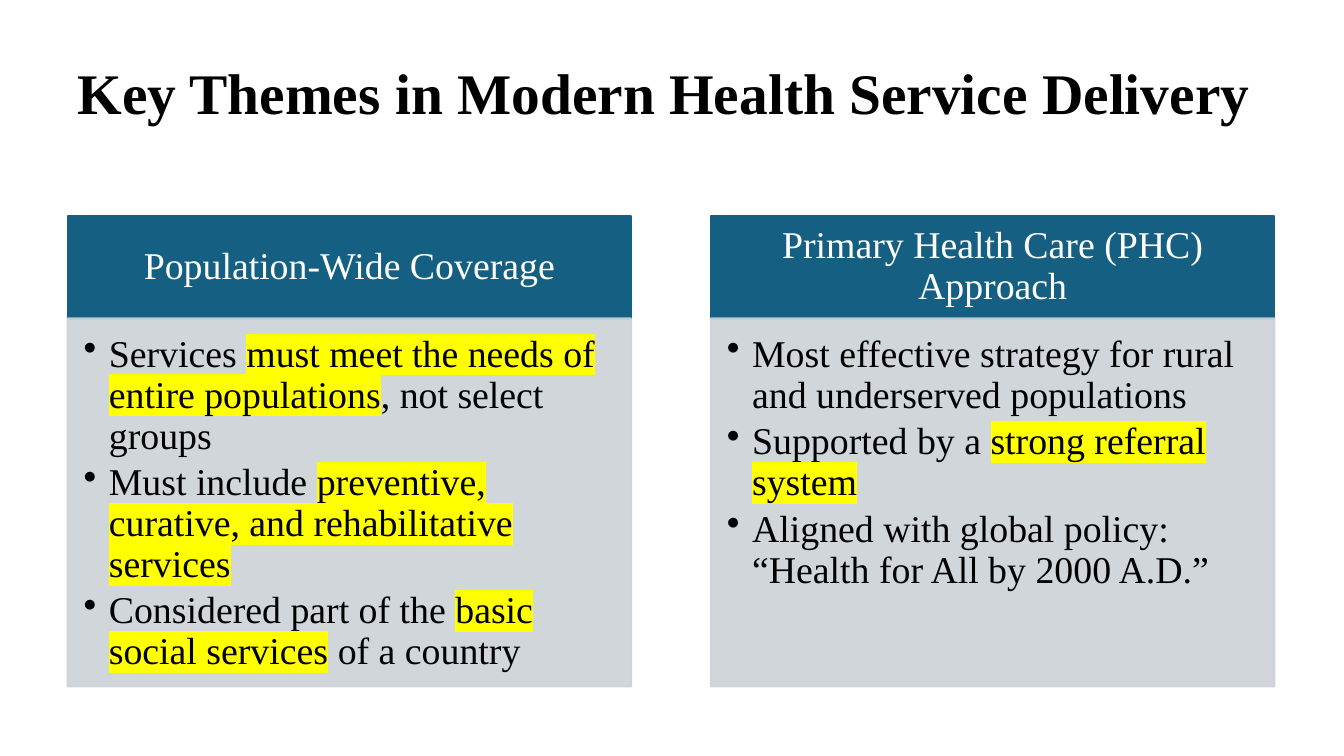
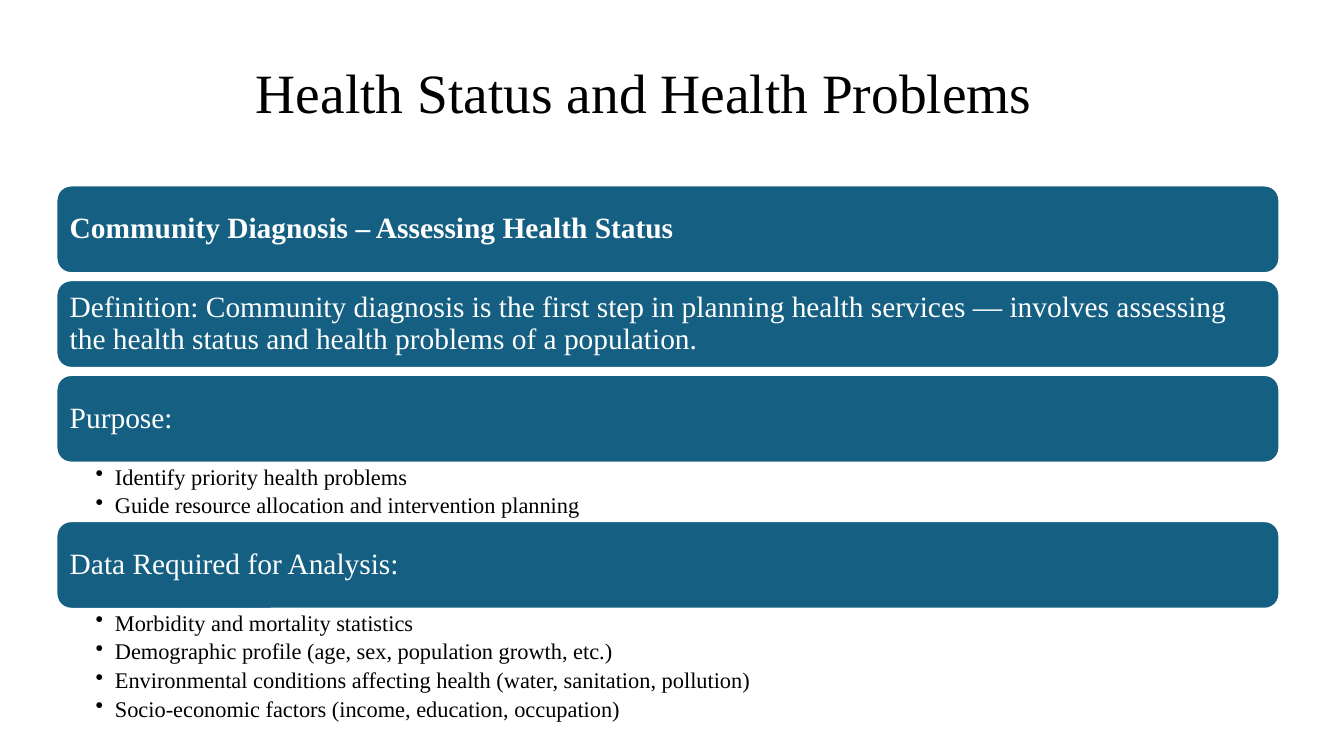
from dataclasses import dataclass

from lxml.etree import SubElement
from pptx import Presentation
from pptx.dml.color import RGBColor
from pptx.enum.shapes import MSO_SHAPE
from pptx.enum.text import MSO_ANCHOR, PP_ALIGN
from pptx.oxml.ns import qn
from pptx.util import Pt

PX = 9144


@dataclass(frozen=True)
class Theme:
    font: str = "Times New Roman"
    ink: str = "000000"
    paper: str = "FFFFFF"
    band: str = "156082"
    panel: str = "CCD2D8"
    marker: str = "FFFF00"
    panel_opacity: int = 90
    outline: float = 1.5
    leading: float = 0.9
    bold_title_size: float = 41
    title_size: float = 39.6
    column_size: float = 27
    row_size: float = 21
    detail_size: float = 16


THEME = Theme()


def px(*lengths):
    return [length * PX for length in lengths]


def add_highlight(run):
    fill = run.font._element.find(qn("a:solidFill"))
    highlight = fill.makeelement(qn("a:highlight"), {})
    SubElement(highlight, qn("a:srgbClr"), val=THEME.marker)
    fill.addnext(highlight)


def add_bullet(paragraph, indent):
    properties = paragraph._p.get_or_add_pPr()
    properties.set("marL", str(indent * PX))
    properties.set("indent", str(-indent * PX))
    SubElement(properties, qn("a:buChar"), char="•")


def write_text(frame, lines, size, color=THEME.ink, bold=False, align=PP_ALIGN.LEFT,
               anchor=MSO_ANCHOR.TOP, insets=(10, 5, 10, 5), bullet_indent=0, gap=0):
    frame.word_wrap = True
    frame.vertical_anchor = anchor
    (frame.margin_left, frame.margin_top,
     frame.margin_right, frame.margin_bottom) = px(*insets)
    for index, line in enumerate(lines):
        paragraph = frame.add_paragraph() if index else frame.paragraphs[0]
        if bullet_indent:
            add_bullet(paragraph, bullet_indent)
        paragraph.alignment = align
        paragraph.line_spacing = THEME.leading
        paragraph.space_after = Pt(size * gap)
        for part, words in enumerate(line.split("|")):
            if not words:
                continue
            run = paragraph.add_run()
            run.text = words
            run.font.size = Pt(size)
            run.font.bold = bold
            run.font.color.rgb = RGBColor.from_string(color)
            run.font.name = THEME.font
            if part % 2:
                add_highlight(run)


def add_text(slide, box, lines, **style):
    write_text(slide.shapes.add_textbox(*px(*box)).text_frame, lines, **style)


def add_block(slide, box, lines, fill, outline, kind=MSO_SHAPE.RECTANGLE,
              opacity=100, **style):
    block = slide.shapes.add_shape(kind, *px(*box))
    block.shadow.inherit = False
    block.fill.solid()
    block.fill.fore_color.rgb = RGBColor.from_string(fill)
    block.line.color.rgb = RGBColor.from_string(outline)
    block.line.width = Pt(THEME.outline)
    if opacity < 100:
        for color in block._element.spPr.iter(qn("a:srgbClr")):
            SubElement(color, qn("a:alpha"), val=str(opacity * 1000))
    write_text(block.text_frame, lines, **style)


def add_theme_column(slide, box, heading, points):
    left, top, width, height = box
    heading_height = 102
    add_block(slide, (left, top, width, heading_height), [heading],
              THEME.band, THEME.band, size=THEME.column_size, color=THEME.paper,
              align=PP_ALIGN.CENTER, anchor=MSO_ANCHOR.MIDDLE, insets=(21, 12, 21, 12))
    add_block(slide, (left, top + heading_height, width, height - heading_height), points,
              THEME.panel, THEME.panel, opacity=THEME.panel_opacity,
              size=THEME.column_size, insets=(16, 16, 21, 24), bullet_indent=25, gap=0.15)


def add_diagnosis_stack(slide, box, sections):
    left, top, width, height = box
    row_height, row_gap, detail_height, detail_margin = 87, 7, 28, 2
    for heading, details, bold in sections:
        add_block(slide, (left, top, width, row_height), [heading],
                  THEME.band, THEME.paper, kind=MSO_SHAPE.ROUNDED_RECTANGLE,
                  size=THEME.row_size, color=THEME.paper, bold=bold,
                  anchor=MSO_ANCHOR.MIDDLE, insets=(9, 9, 9, 9))
        top += row_height
        if details:
            details_height = len(details) * detail_height + detail_margin
            add_text(slide, (left, top, width, details_height), details,
                     size=THEME.detail_size, insets=(39, 3, 16, 3),
                     bullet_indent=19, gap=0.2)
            top += details_height
        else:
            top += row_gap


def build_themes_slide(slide):
    add_text(slide, (67, 60, 1197, 124), ["Key Themes in Modern Health Service Delivery"],
             size=THEME.bold_title_size, bold=True)
    columns = [
        ("Population-Wide Coverage", [
            "Services |must meet the needs of entire populations|, not select groups",
            "Must include |preventive, curative, and rehabilitative services|",
            "Considered part of the |basic social services| of a country",
        ]),
        ("Primary Health Care (PHC) Approach", [
            "Most effective strategy for rural and underserved populations",
            "Supported by a |strong referral system|",
            "Aligned with global policy: “Health for All by 2000 A.D.”",
        ]),
    ]
    left, width, gutter = 67, 559, 79
    for index, (heading, points) in enumerate(columns):
        add_theme_column(slide, (left + index * (width + gutter), 214, width, 467),
                         heading, points)


def build_status_slide(slide):
    add_text(slide, (244, 30, 845, 130), ["Health Status and Health Problems"],
             size=THEME.title_size, anchor=MSO_ANCHOR.MIDDLE)
    add_diagnosis_stack(slide, (56, 184, 1213, 534), [
        ("Community Diagnosis – Assessing Health Status", [], True),
        ("Definition: Community diagnosis is the first step in planning health services — "
         "involves assessing the health status and health problems of a population.", [], False),
        ("Purpose:", [
            "Identify priority health problems",
            "Guide resource allocation and intervention planning",
        ], False),
        ("Data Required for Analysis:", [
            "Morbidity and mortality statistics",
            "Demographic profile (age, sex, population growth, etc.)",
            "Environmental conditions affecting health (water, sanitation, pollution)",
            "Socio-economic factors (income, education, occupation)",
        ], False),
    ])


def main():
    deck = Presentation()
    deck.slide_width, deck.slide_height = px(1333, 750)
    blank = deck.slide_layouts[6]
    for build in (build_themes_slide, build_status_slide):
        build(deck.slides.add_slide(blank))
    deck.save("out.pptx")


if __name__ == "__main__":
    main()
